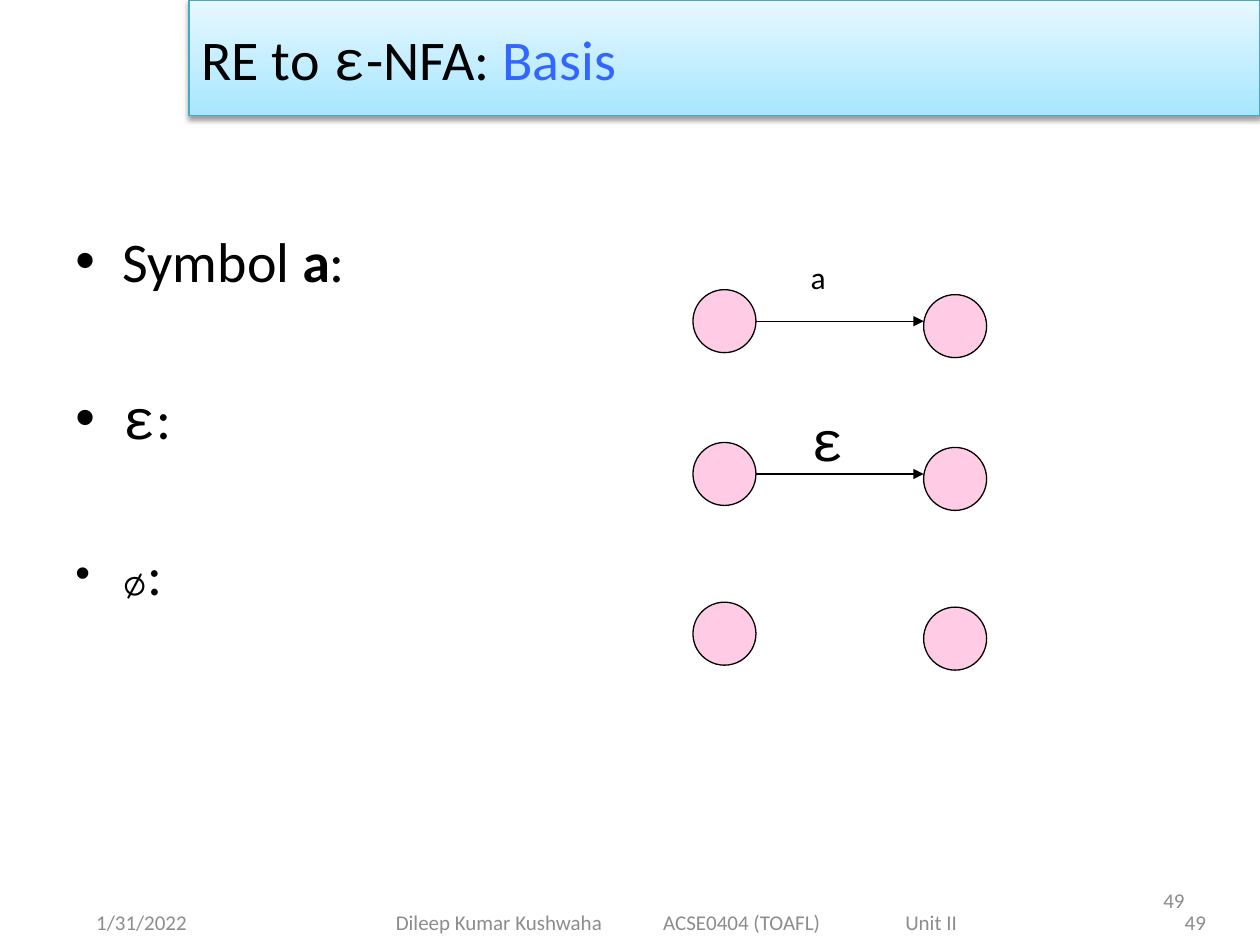
from lxml.etree import SubElement
from pptx import Presentation
from pptx.dml.color import RGBColor
from pptx.enum.shapes import MSO_CONNECTOR, MSO_SHAPE
from pptx.enum.text import MSO_ANCHOR, PP_ALIGN
from pptx.oxml import parse_xml
from pptx.oxml.ns import nsdecls, qn
from pptx.util import Cm, Pt

BLACK = RGBColor(0x00, 0x00, 0x00)
GREY = RGBColor(0x8C, 0x8C, 0x8C)
BLUE = RGBColor(0x33, 0x66, 0xFF)
PINK = RGBColor(0xFF, 0x99, 0xCC)
TEAL = RGBColor(0x46, 0xAA, 0xC5)
SKY = RGBColor(0xA7, 0xE6, 0xFF)
PALE = RGBColor(0xE7, 0xF8, 0xFF)
SANS, MONO = "Calibri", "Courier New"

TITLE_SHADOW = f"""<a:effectLst {nsdecls('a')}>
  <a:outerShdw blurRad="39370" dist="20320" dir="5400000" rotWithShape="0">
    <a:srgbClr val="000000"><a:alpha val="38000"/></a:srgbClr>
  </a:outerShdw>
</a:effectLst>"""


class AutomatonSlide:
    line_width = Pt(0.75)
    diameter = 1.27

    def __init__(self, prs):
        self.s = prs.slides.add_slide(prs.slide_layouts[5])

    def add_run(self, p, text, size=32, font=SANS, color=BLACK, bold=False):
        r = p.add_run()
        r.text = text
        r.font.size = Pt(size)
        r.font.name = font
        r.font.bold = bold
        r.font.color.rgb = color

    def title(self, left, top, width, height, runs):
        sp = self.s.shapes.title
        sp.left, sp.top, sp.width, sp.height = map(Cm, (left, top, width, height))
        sp.fill.gradient()
        sp.fill.gradient_angle = 90
        for stop, color in zip(sp.fill.gradient_stops, (SKY, PALE)):
            stop.color.rgb = color
        for stop, position in zip(sp.fill.gradient_stops, (0, 1)):
            stop.position = position
        sp.line.color.rgb = TEAL
        sp.line.width = self.line_width
        sp._element.spPr.append(parse_xml(TITLE_SHADOW))
        tf = sp.text_frame
        tf.vertical_anchor = MSO_ANCHOR.MIDDLE
        p = tf.paragraphs[0]
        p.alignment = PP_ALIGN.LEFT
        for text, style in runs:
            self.add_run(p, text, **style)

    def text_box(self, left, top, width, height, wrap=True):
        tf = self.s.shapes.add_textbox(Cm(left), Cm(top), Cm(width), Cm(height)).text_frame
        tf.word_wrap = wrap
        return tf

    def bullets(self, left, top, width, height, items, gap):
        tf = self.text_box(left, top, width, height)
        for i, runs in enumerate(items):
            p = tf.add_paragraph() if i else tf.paragraphs[0]
            pPr = p._p.get_or_add_pPr()
            pPr.set("marL", str(Cm(0.95)))
            pPr.set("indent", str(Cm(-0.95)))
            SubElement(pPr, qn("a:buFont"), typeface="Arial")
            SubElement(pPr, qn("a:buChar"), char="•")
            if i:
                p.space_before = gap
            for text, style in runs:
                self.add_run(p, text, **style)

    def state(self, left, top):
        d = Cm(self.diameter)
        sp = self.s.shapes.add_shape(MSO_SHAPE.OVAL, Cm(left), Cm(top), d, d)
        sp.shadow.inherit = False
        sp.fill.solid()
        sp.fill.fore_color.rgb = PINK
        rgb = sp._element.spPr.find(qn("a:solidFill")).find(qn("a:srgbClr"))
        SubElement(rgb, qn("a:alpha"), val="50000")
        sp.line.color.rgb = BLACK
        sp.line.width = self.line_width

    def arrow(self, x1, x2, y):
        line = self.s.shapes.add_connector(
            MSO_CONNECTOR.STRAIGHT, Cm(x1), Cm(y), Cm(x2), Cm(y))
        line.line.color.rgb = BLACK
        line.line.width = self.line_width
        SubElement(line.line._get_or_add_ln(), qn("a:tailEnd"), type="triangle")
        SubElement(line._element.spPr, qn("a:effectLst"))

    def label(self, left, top, text, **style):
        tf = self.text_box(left, top, 1.1, 1.27, wrap=False)
        self.add_run(tf.paragraphs[0], text, **style)

    def footer(self, left, top, width, text, align=PP_ALIGN.LEFT, inset=0.25, tabs=()):
        tf = self.text_box(left, top, width, 1.01)
        tf.vertical_anchor = MSO_ANCHOR.MIDDLE
        tf.margin_left = Cm(inset)
        p = tf.paragraphs[0]
        p.alignment = align
        if tabs:
            tab_list = SubElement(p._p.get_or_add_pPr(), qn("a:tabLst"))
            for tab in tabs:
                SubElement(tab_list, qn("a:tab"), pos=str(Cm(tab)), algn="l")
        self.add_run(p, text, size=12, color=GREY)


def main():
    prs = Presentation()
    prs.slide_width, prs.slide_height = Cm(25.4), Cm(19.05)
    slide = AutomatonSlide(prs)
    mono = {"font": MONO}

    slide.title(3.81, 0, 21.59, 2.33, [
        ("RE to ", {}), ("ε", mono), ("-NFA: ", {}), ("Basis", {"color": BLUE})])
    slide.bullets(1.27, 4.45, 22.86, 12.57, [
        [("Symbol ", {}), ("a", {"bold": True}), (":", {})],
        [("ε", mono), (":", {})],
        [("∅", {"font": MONO, "size": 24}), (":", {})],
    ], gap=Pt(51))

    start_x, end_x = 13.97, 18.62
    for y in (5.84, 8.92, 12.14):
        slide.state(start_x, y)
        slide.state(end_x, y + 0.1)
    for y in (5.84, 8.92):
        slide.arrow(start_x + slide.diameter, end_x, y + slide.diameter / 2)
    slide.label(16.09, 5.08, "a", size=18)
    slide.label(16.09, 8.05, "ε", font=MONO)

    slide.footer(18.2, 17.65, 5.93, "49", PP_ALIGN.RIGHT)
    slide.footer(1.69, 18.08, 5.93, "1/31/2022")
    slide.footer(7.62, 18.08, 12.07, "Dileep Kumar Kushwaha\tACSE0404 (TOAFL)\tUnit II",
                 inset=0.36, tabs=(5.39, 10.27))
    slide.footer(18.63, 18.08, 5.93, "49", PP_ALIGN.RIGHT)
    prs.save("out.pptx")


if __name__ == "__main__":
    main()
